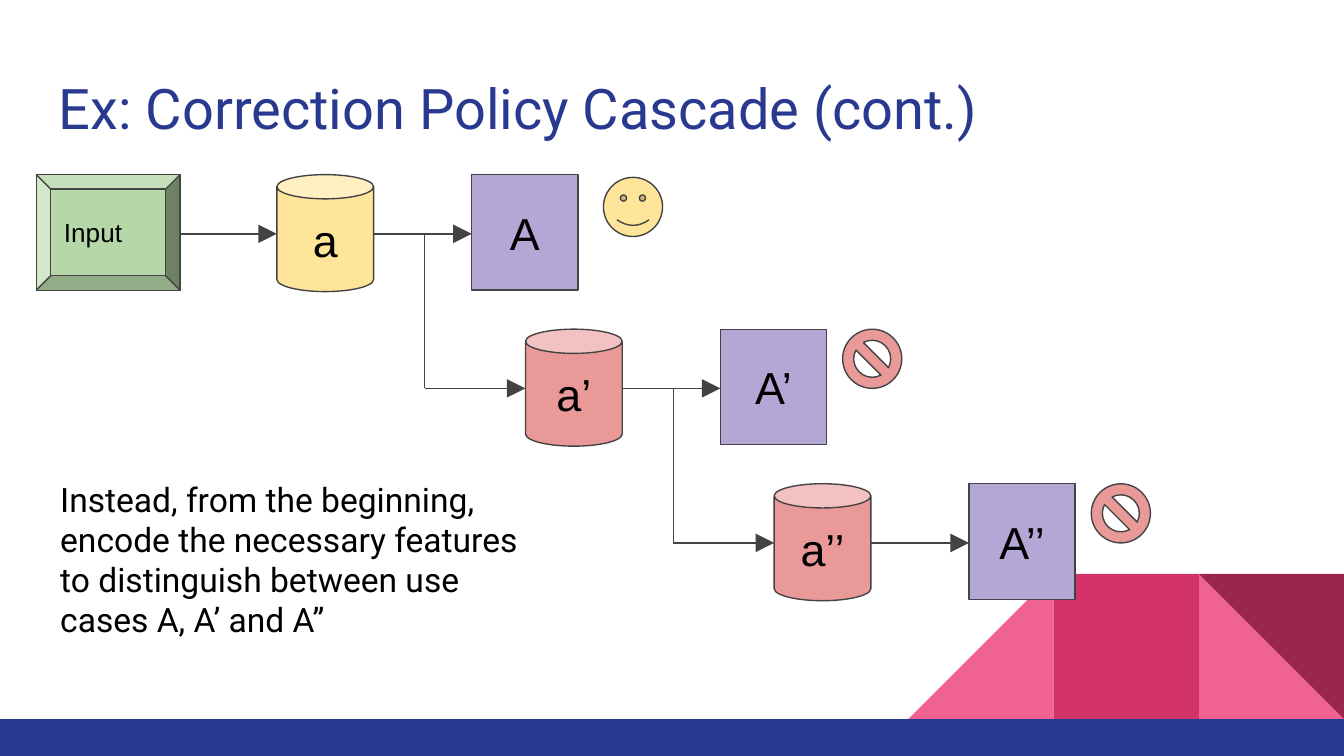
import pptx
import pptx.util
import pptx.dml.color
import pptx.enum.shapes
import pptx.enum.text
import pptx.oxml.ns
import lxml.etree

Inches = pptx.util.Inches
KINDS = pptx.enum.shapes.MSO_SHAPE
ALIGN = pptx.enum.text.PP_ALIGN
ANCHOR = pptx.enum.text.MSO_ANCHOR

COLORS = {
    "navy": "2A3990", "pink": "F06292", "rose": "D23369", "wine": "9C254D",
    "green": "B6D7A8", "yellow": "FFE599", "red": "EA9999", "violet": "B4A7D6",
    "outline": "434343", "black": "000000",
}
PAGE_WIDTH = 10
PAGE_HEIGHT = PAGE_WIDTH * 9 / 16
STEP_X, STEP_Y = 1.85, 1.15
CAN_WIDTH, NODE_HEIGHT, GAP = 0.72, 0.87, 0.73
MIDDLE = 0.44


def color(name):
    """Return the named palette colour."""
    return pptx.dml.color.RGBColor.from_string(COLORS[name])


def write(shape, text, size=24, font="Arial", ink="black", align=ALIGN.CENTER, anchor=ANCHOR.MIDDLE):
    """Put formatted text into a shape."""
    frame = shape.text_frame
    frame.word_wrap = True
    frame.vertical_anchor = anchor
    frame.margin_left = frame.margin_right = Inches(0.1)
    frame.margin_top = frame.margin_bottom = Inches(0.1)
    para = frame.paragraphs[0]
    para.alignment = align
    span = para.add_run()
    span.text = text
    span.font.size = pptx.util.Pt(size)
    span.font.name = font
    span.font.color.rgb = color(ink)


def add_shape(page, kind, left, top, width, height, fill, outlined=True):
    """Add a flat preset shape, with or without an outline."""
    shape = page.shapes.add_shape(kind, Inches(left), Inches(top), Inches(width), Inches(height))
    shape.shadow.inherit = False
    shape.fill.solid()
    shape.fill.fore_color.rgb = color(fill)
    if outlined:
        shape.line.color.rgb = color("outline")
        shape.line.width = pptx.util.Pt(0.75)
    else:
        shape.line.fill.background()
    return shape


def add_line(page, start, end, arrow=True):
    """Join two points with a straight line, with an optional arrowhead."""
    points = [Inches(value) for value in (*start, *end)]
    line = page.shapes.add_connector(pptx.enum.shapes.MSO_CONNECTOR.STRAIGHT, *points)
    line.line.color.rgb = color("outline")
    line.line.width = pptx.util.Pt(0.75)
    qn = pptx.oxml.ns.qn
    if arrow:
        outline = line._element.spPr.find(qn("a:ln"))
        lxml.etree.SubElement(outline, qn("a:tailEnd"), type="triangle", w="lg", len="lg")
    lxml.etree.SubElement(line._element.spPr, qn("a:effectLst"))


def add_text(page, left, top, width, height, text, **style):
    """Add a left-aligned text box in Roboto."""
    box = page.shapes.add_textbox(Inches(left), Inches(top), Inches(width), Inches(height))
    write(box, text, font="Roboto", align=ALIGN.LEFT, anchor=ANCHOR.TOP, **style)


def draw_decoration(page, left, bottom, side):
    """Draw the corner triangles and the band along the foot."""
    top = bottom - side
    middle, right = left + side, left + 2 * side
    add_shape(page, KINDS.RIGHT_TRIANGLE, right, top, side, side, "pink", False)
    slope = add_shape(page, KINDS.RIGHT_TRIANGLE, left, top, side, side, "pink", False)
    slope._element.spPr.get_or_add_xfrm().set("flipH", "1")
    add_shape(page, KINDS.RECTANGLE, middle, top, side, side, "rose", False)
    add_shape(page, KINDS.RIGHT_TRIANGLE, right, top, side, side, "wine", False).rotation = 180
    add_shape(page, KINDS.RECTANGLE, 0, bottom, PAGE_WIDTH, PAGE_HEIGHT - bottom, "navy", False)


def draw_input(page, left, top, width):
    """Draw the input block and its arrow to the first policy."""
    block = add_shape(page, KINDS.BEVEL, left, top, width, 0.86, "green")
    write(block, "Input", size=14, align=ALIGN.LEFT)
    end = left + width
    add_line(page, (end, top + MIDDLE), (end + CAN_WIDTH, top + MIDDLE))


def draw_stage(page, left, top, marks, fill, icon, icon_shift, branches):
    """Draw a policy, its outcome and verdict, and any branch to the next stage."""
    axis = top + MIDDLE
    square_left = left + CAN_WIDTH + GAP
    can = add_shape(page, KINDS.CAN, left, top, CAN_WIDTH, NODE_HEIGHT, fill)
    write(can, "a" + marks)
    add_line(page, (left + CAN_WIDTH, axis), (square_left, axis))
    square = add_shape(page, KINDS.RECTANGLE, square_left, top, 0.79, 0.86, "violet")
    write(square, "A" + marks)
    add_shape(page, icon, left + icon_shift[0], top + icon_shift[1], 0.44, 0.44, fill)
    if branches:
        fork, lower = left + 1.1, axis + STEP_Y
        add_line(page, (fork, axis), (fork, lower), arrow=False)
        add_line(page, (fork, lower), (left + STEP_X, lower))


def draw_cascade(page, left, top):
    """Draw the three stages stepping down to the right."""
    stages = [
        ("", "yellow", KINDS.SMILEY_FACE, (2.43, 0.02)),
        ("’", "red", KINDS.NO_SYMBOL, (2.36, 0)),
        ("’’", "red", KINDS.NO_SYMBOL, (2.36, 0)),
    ]
    for index, stage in enumerate(stages):
        draw_stage(page, left + index * STEP_X, top + index * STEP_Y, *stage,
                   branches=index < len(stages) - 1)


def main():
    """Build and save the deck."""
    deck = pptx.Presentation()
    deck.slide_width, deck.slide_height = Inches(PAGE_WIDTH), Inches(PAGE_HEIGHT)
    page = deck.slides.add_slide(deck.slide_layouts[6])
    draw_decoration(page, 6.76, 5.35, 1.08)
    add_text(page, 0.34, 0.45, 9.32, 0.66, "Ex: Correction Policy Cascade (cont.)", size=30, ink="navy")
    draw_input(page, 0.27, 1.3, 1.07)
    draw_cascade(page, 2.06, 1.3)
    add_text(page, 0.35, 3.46, 3.77, 1.92,
             "Instead, from the beginning, encode the necessary features "
             "to distinguish between use cases A, A’ and A’’", size=18)
    deck.save("out.pptx")


if __name__ == "__main__":
    main()
